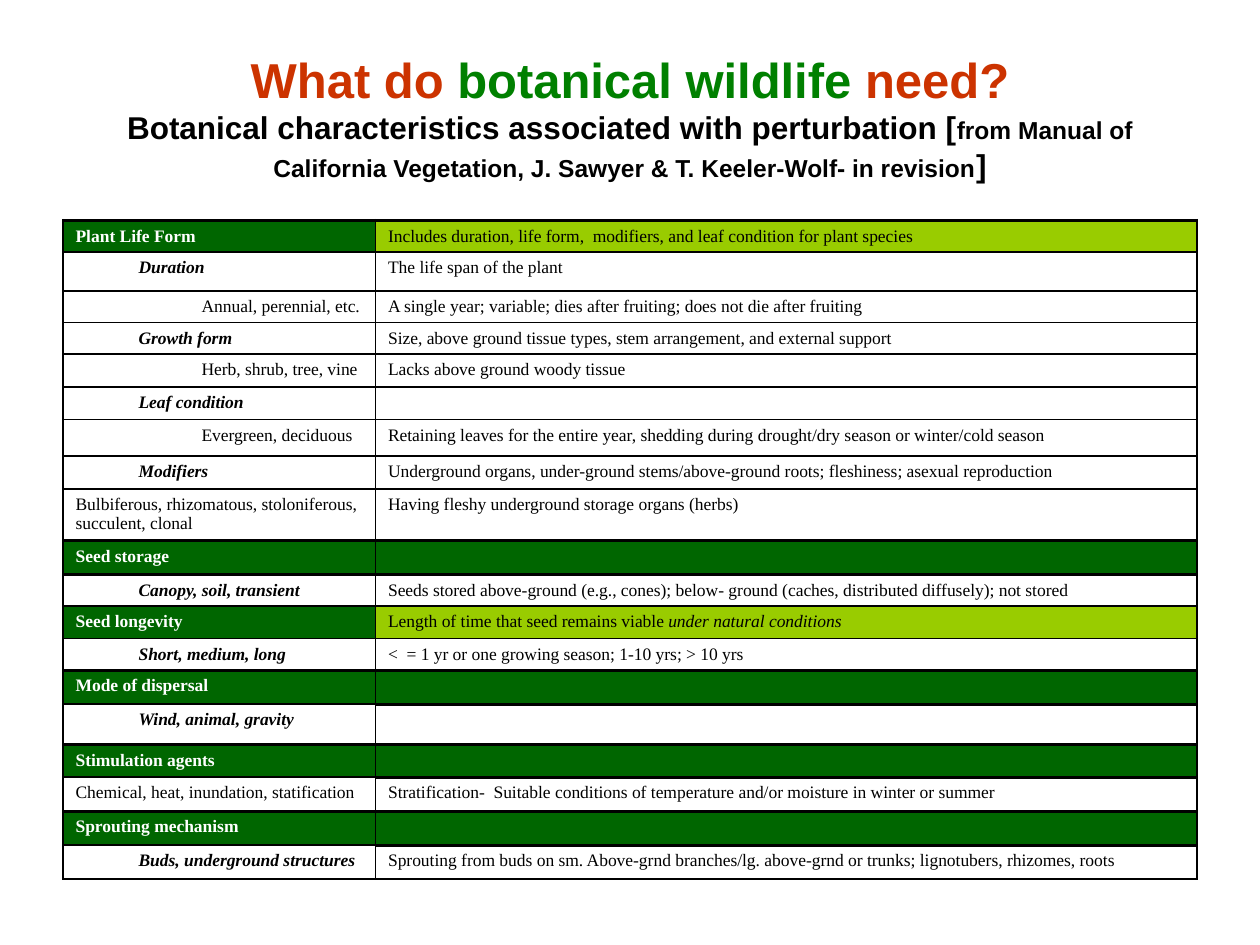
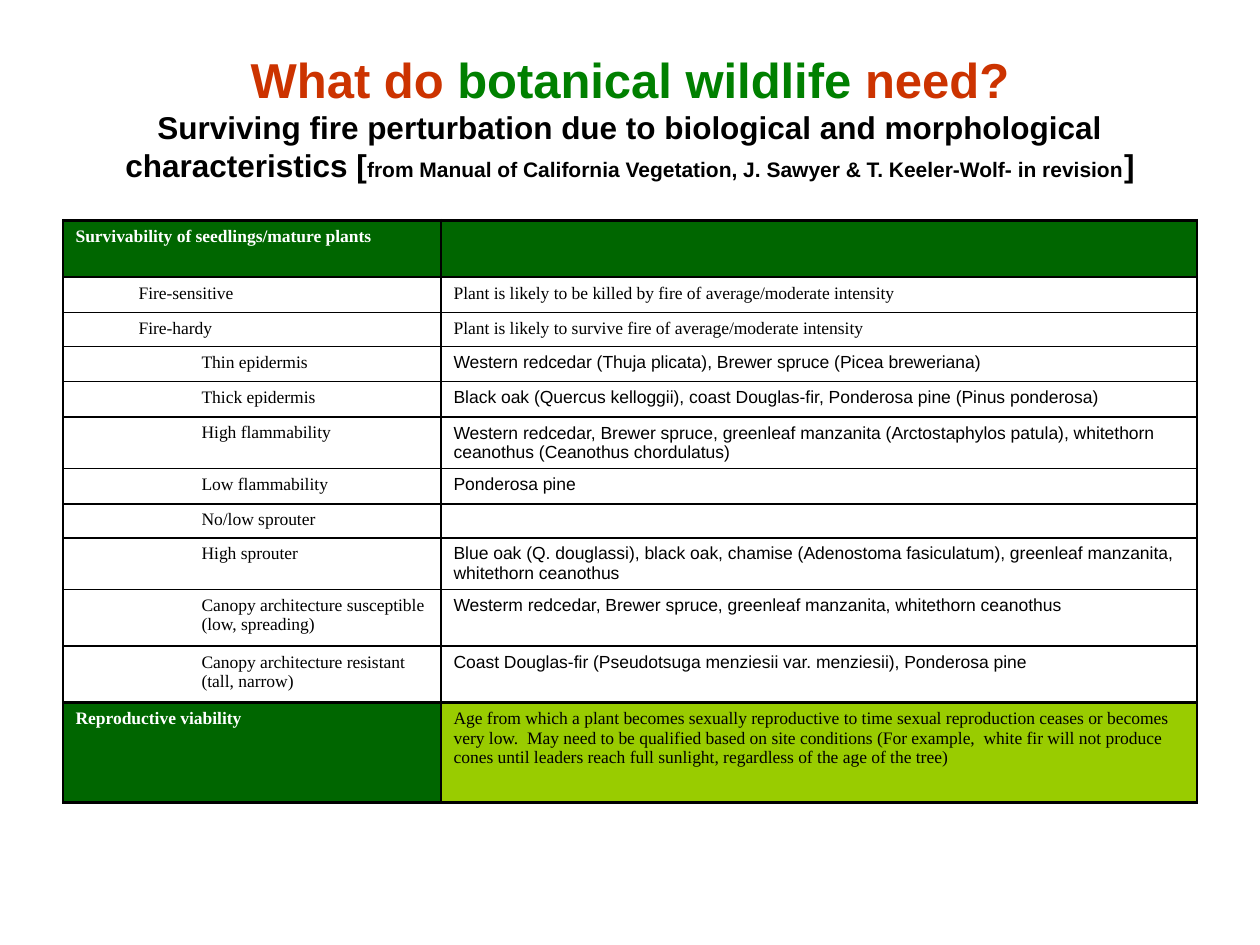
from dataclasses import dataclass

import lxml.etree
import pptx
import pptx.dml.color
import pptx.enum.text
import pptx.oxml.ns
import pptx.util
from pptx.util import Inches

RED, GREEN, BLACK, WHITE = "CC3300", "008000", "000000", "FFFFFF"
FOREST, LIME = "006600", "99CC00"
SANS, SERIF = "Arial", "Times New Roman"
CELL_SIZE = 10
THIN, HEAVY = 1, 2


def color(value):
    return pptx.dml.color.RGBColor.from_string(value)


def add_xml(parent, tag, **attributes):
    return lxml.etree.SubElement(parent, pptx.oxml.ns.qn(tag), **attributes)


@dataclass
class Row:
    """One table line; rule tells which cells have a heavy top edge: none, both or right."""
    kind: str
    label: str
    meaning: str = ""
    height: float = 0.25
    rule: str = "none"


@dataclass
class LabelStyle:
    indent: float = 0
    bold: bool = False
    italic: bool = False
    ink: str = BLACK


LABEL_STYLES = {
    "section": LabelStyle(bold=True, ink=WHITE),
    "trait": LabelStyle(indent=0.5, bold=True, italic=True),
    "group": LabelStyle(indent=0.5),
    "example": LabelStyle(indent=1),
    "plain": LabelStyle(),
}


class Deck:
    def __init__(self):
        self.presentation = pptx.Presentation()
        self.presentation.slide_width = Inches(10)
        self.presentation.slide_height = Inches(7.5)
        self.slide = None

    def start_slide(self):
        blank = self.presentation.slide_layouts[6]
        self.slide = self.presentation.slides.add_slide(blank)

    def heading(self, topic, citation_size):
        box = self.slide.shapes.add_textbox(Inches(0.5), Inches(0.3), Inches(9), Inches(1.25))
        frame = box.text_frame
        frame.word_wrap = True
        frame.vertical_anchor = pptx.enum.text.MSO_ANCHOR.MIDDLE
        title = frame.paragraphs[0]
        title.alignment = pptx.enum.text.PP_ALIGN.CENTER
        title.font.name = SANS
        title.font.bold = True
        citation = "from Manual of California Vegetation, J. Sawyer & T. Keeler-Wolf- in revision"
        for words, size, ink in [
            ("What do ", 28, RED),
            ("botanical wildlife", 28, GREEN),
            (" need?", 28, RED),
            (None, 28, RED),
            (topic + " [", 18, BLACK),
            (citation, citation_size, BLACK),
            ("]", 18, BLACK),
        ]:
            if words is None:
                title.add_line_break()
                continue
            run = title.add_run()
            run.text = words
            run.font.size = pptx.util.Pt(size)
            run.font.color.rgb = color(ink)

    def edges(self, cell, top, bottom):
        properties = cell._tc.get_or_add_tcPr()
        for side, weight in (("L", THIN), ("R", THIN), ("T", top), ("B", bottom)):
            line = add_xml(properties, f"a:ln{side}", w=str(pptx.util.Pt(weight)))
            add_xml(add_xml(line, "a:solidFill"), "a:srgbClr", val=BLACK)

    def cell_text(self, cell, words, style, font):
        """Write words in a cell; parts between asterisks are italic."""
        cell.margin_bottom = Inches(0.02)
        paragraph = cell.text_frame.paragraphs[0]
        if not words:
            add_xml(paragraph._p, "a:endParaRPr", sz=str(CELL_SIZE * 100))
            return
        if style.indent:
            layout = paragraph._p.get_or_add_pPr()
            layout.set("marL", str(Inches(style.indent)))
            layout.set("indent", "0")
        paragraph.font.name = font
        paragraph.font.size = pptx.util.Pt(CELL_SIZE)
        paragraph.font.bold = style.bold
        paragraph.font.color.rgb = color(style.ink)
        parts = words.split("*")
        if len(parts) == 1:
            paragraph.font.italic = style.italic
        for number, part in enumerate(parts):
            if part:
                run = paragraph.add_run()
                run.text = part
                if number % 2:
                    run.font.italic = True

    def traits_table(self, rows, label_width, example_font=SERIF, bottom=THIN):
        total = sum(row.height for row in rows)
        table = self.slide.shapes.add_table(
            len(rows), 2, Inches(0.5), Inches(1.75), Inches(9), Inches(total)).table
        table.first_row = table.horz_banding = False
        table.columns[0].width = Inches(label_width)
        table.columns[1].width = Inches(9 - label_width)
        heavy_columns = {"none": (), "both": (0, 1), "right": (1,)}
        for index, row in enumerate(rows):
            table.rows[index].height = Inches(row.height)
            last = index + 1 == len(rows)
            font = example_font if row.kind == "example" else SERIF
            fills = (None, None)
            if row.kind == "section":
                fills = (FOREST, LIME if row.meaning else FOREST)
            contents = (
                (row.label, LABEL_STYLES[row.kind], SERIF),
                (row.meaning, LABEL_STYLES["plain"], font),
            )
            for column, (content, fill) in enumerate(zip(contents, fills)):
                cell = table.cell(index, column)
                top = HEAVY if column in heavy_columns[row.rule] else THIN
                below = bottom
                if not last:
                    below = HEAVY if column in heavy_columns[rows[index + 1].rule] else THIN
                self.edges(cell, top, below)
                if fill:
                    cell.fill.solid()
                    cell.fill.fore_color.rgb = color(fill)
                else:
                    cell.fill.background()
                self.cell_text(cell, *content)


PERTURBATION = [
    Row("section", "Plant Life Form",
        "Includes duration, life form,  modifiers, and leaf condition for plant species",
        rule="both"),
    Row("trait", "Duration", "The life span of the plant", 0.31),
    Row("example", "Annual, perennial, etc.",
        "A single year; variable; dies after fruiting; does not die after fruiting"),
    Row("trait", "Growth form",
        "Size, above ground tissue types, stem arrangement, and external support"),
    Row("example", "Herb, shrub, tree, vine", "Lacks above ground woody tissue", 0.26),
    Row("trait", "Leaf condition", height=0.26),
    Row("example", "Evergreen, deciduous",
        "Retaining leaves for the entire year, shedding during drought/dry season "
        "or winter/cold season", 0.29),
    Row("trait", "Modifiers",
        "Underground organs, under-ground stems/above-ground roots; fleshiness; "
        "asexual reproduction", 0.26),
    Row("plain", "Bulbiferous, rhizomatous, stoloniferous, succulent, clonal",
        "Having fleshy underground storage organs (herbs)", 0.41),
    Row("section", "Seed storage", height=0.27, rule="both"),
    Row("trait", "Canopy, soil, transient",
        "Seeds stored above-ground (e.g., cones); below- ground (caches, "
        "distributed diffusely); not stored", rule="both"),
    Row("section", "Seed longevity",
        "Length of time that seed remains viable *under natural conditions*", 0.26),
    Row("trait", "Short, medium, long", "<  = 1 yr or one growing season; 1-10 yrs; > 10 yrs"),
    Row("section", "Mode of dispersal", height=0.27, rule="both"),
    Row("trait", "Wind, animal, gravity", height=0.32, rule="right"),
    Row("section", "Stimulation agents", height=0.26, rule="both"),
    Row("plain", "Chemical, heat, inundation, statification",
        "Stratification-  Suitable conditions of temperature and/or moisture in winter or summer",
        0.27, "right"),
    Row("section", "Sprouting mechanism", height=0.27, rule="both"),
    Row("trait", "Buds, underground structures",
        "Sprouting from buds on sm. Above-grnd branches/lg. above-grnd or trunks; "
        "lignotubers, rhizomes, roots", 0.27, "right"),
]

FIRE_SURVIVAL = [
    Row("section", "Survivability of seedlings/mature plants", height=0.45, rule="both"),
    Row("group", "Fire-sensitive",
        "Plant is likely to be killed by fire of average/moderate intensity", 0.28),
    Row("group", "Fire-hardy",
        "Plant is likely to survive fire of average/moderate intensity", 0.27),
    Row("example", "Thin epidermis",
        "Western redcedar (Thuja plicata), Brewer spruce (Picea breweriana)", 0.28),
    Row("example", "Thick epidermis",
        "Black oak (Quercus kelloggii), coast Douglas-fir, Ponderosa pine (Pinus ponderosa)",
        0.28),
    Row("example", "High flammability",
        "Western redcedar, Brewer spruce, greenleaf manzanita (Arctostaphylos patula), "
        "whitethorn ceanothus (Ceanothus chordulatus)", 0.41),
    Row("example", "Low flammability", "Ponderosa pine", 0.28),
    Row("example", "No/low sprouter", height=0.27),
    Row("example", "High sprouter",
        "Blue oak (Q. douglassi), black oak, chamise (Adenostoma fasiculatum), "
        "greenleaf manzanita, whitethorn ceanothus", 0.41),
    Row("example", "Canopy architecture susceptible (low, spreading)",
        "Westerm redcedar, Brewer spruce, greenleaf manzanita, whitethorn ceanothus", 0.45),
    Row("example", "Canopy architecture resistant (tall, narrow)",
        "Coast Douglas-fir (Pseudotsuga menziesii var. menziesii), Ponderosa pine", 0.45),
    Row("section", "Reproductive viability",
        "Age from which a plant becomes sexually reproductive to time sexual reproduction "
        "ceases or becomes very low.  May need to be qualified based on site conditions "
        "(For example,  white fir will not produce cones until leaders reach full sunlight, "
        "regardless of the age of the tree)", 0.79, "both"),
]


def main():
    deck = Deck()

    deck.start_slide()
    deck.heading("Botanical characteristics associated with perturbation", 14)
    deck.traits_table(PERTURBATION, 2.48)

    deck.start_slide()
    deck.heading("Surviving fire perturbation due to biological and morphological characteristics", 12)
    deck.traits_table(FIRE_SURVIVAL, 3, example_font=SANS, bottom=HEAVY)

    deck.presentation.save("out.pptx")


if __name__ == "__main__":
    main()
